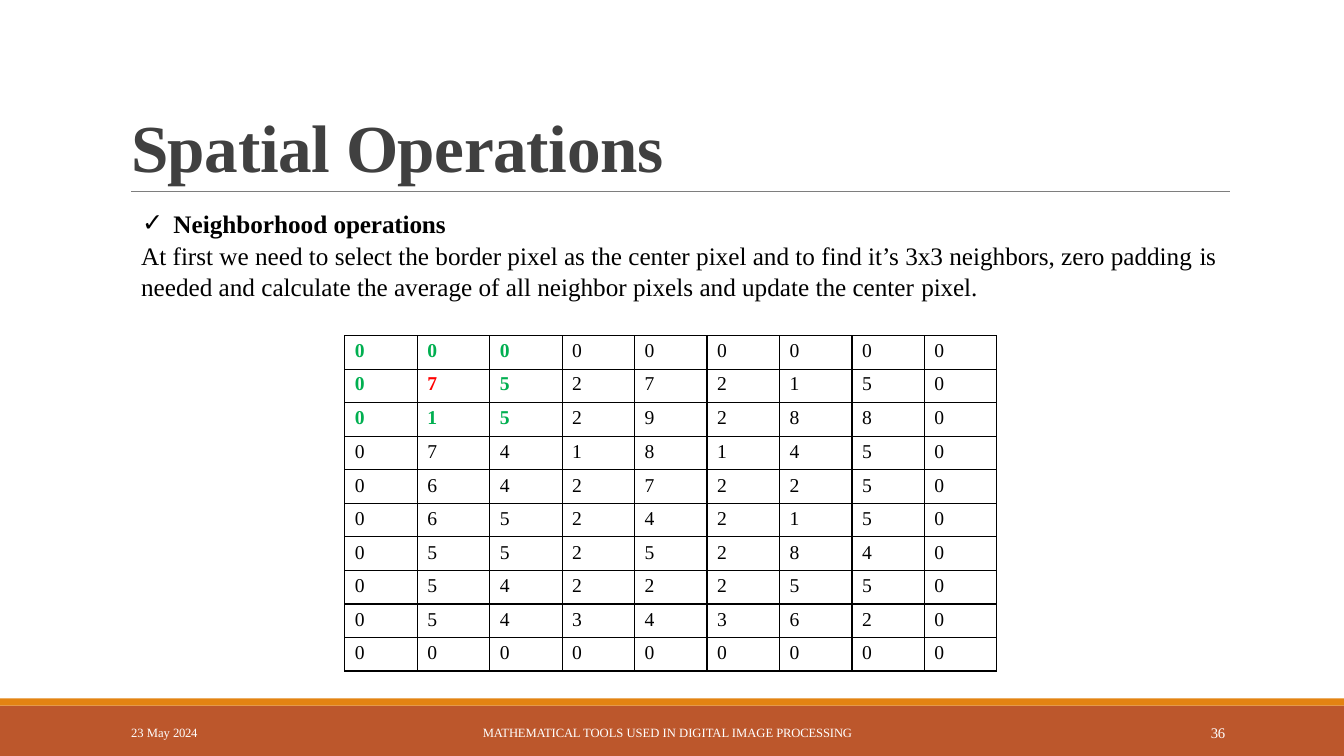
from dataclasses import dataclass

from lxml.etree import SubElement
from pptx import Presentation
from pptx.dml.color import RGBColor
from pptx.enum.shapes import MSO_CONNECTOR, MSO_SHAPE
from pptx.enum.text import MSO_ANCHOR, MSO_AUTO_SIZE, PP_ALIGN
from pptx.oxml.ns import qn
from pptx.util import Inches, Pt


@dataclass(frozen=True)
class Theme:
    font: str = "Times New Roman"
    black: str = "000000"
    white: str = "FFFFFF"
    heading: str = "404040"
    rule: str = "7E7E7E"
    band: str = "BC572C"
    stripe: str = "E38312"
    neighbor: str = "00AF50"
    center: str = "FF0000"
    title_size: float = 48
    body_size: float = 18
    cell_size: float = 14
    footer_size: float = 9
    number_size: float = 10.5


THEME = Theme()
PADDED_PIXELS = [
    "000000000",
    "075272150",
    "015292880",
    "074181450",
    "064272250",
    "065242150",
    "055252840",
    "054222550",
    "054343620",
    "000000000",
]


def add_run(paragraph, text, size, color, bold=False, spacing=0):
    run = paragraph.add_run()
    run.text = text
    run.font.name = THEME.font
    run.font.size = Pt(size)
    run.font.bold = bold
    run.font.color.rgb = RGBColor.from_string(color)
    if spacing:
        run.font._element.set("spc", str(round(spacing * 100)))


def place(shape, left, top, width, height):
    shape.left, shape.top = Inches(left), Inches(top)
    shape.width, shape.height = Inches(width), Inches(height)


def prepare_frame(shape, anchor=MSO_ANCHOR.TOP, top_margin=0, wrap=True):
    frame = shape.text_frame
    frame.margin_left = frame.margin_right = frame.margin_bottom = 0
    frame.margin_top = Inches(top_margin)
    frame.word_wrap = wrap
    frame.auto_size = MSO_AUTO_SIZE.NONE
    frame.vertical_anchor = anchor
    return frame


def indent(paragraph, left, first=0, bullet=None):
    properties = paragraph._p.get_or_add_pPr()
    properties.set("marL", str(Inches(left)))
    properties.set("indent", str(Inches(first)))
    if bullet:
        SubElement(properties, qn("a:buChar"), char=bullet)
        tabs = SubElement(properties, qn("a:tabLst"))
        SubElement(tabs, qn("a:tab"), pos=str(Inches(left)), algn="l")
    else:
        SubElement(properties, qn("a:buNone"))
    paragraph.alignment = PP_ALIGN.LEFT
    paragraph.space_before = Pt(0)


def add_band(slide, left, top, width, height, color):
    band = slide.shapes.add_shape(
        MSO_SHAPE.RECTANGLE, Inches(left), Inches(top), Inches(width), Inches(height))
    band.shadow.inherit = False
    band.fill.solid()
    band.fill.fore_color.rgb = RGBColor.from_string(color)
    band.line.fill.background()


def build_footer(slide, left, top, width, height):
    stripe_height = 0.07
    add_band(slide, left, top + stripe_height, width, height - stripe_height, THEME.band)
    add_band(slide, left, top, width, stripe_height, THEME.stripe)

    # Date, lecture name and slide number
    entries = [
        (1.29, 0.26, 0.7, THEME.footer_size, [("23 May ", 0), ("2024", -0.2)]),
        (4.78, 0.26, 3.77, THEME.footer_size,
         [("MATHEMATICAL ", -0.1), ("TOOLS USED IN DIGITAL IMAGE ", 0), ("PROCESSING", -0.1)]),
        (12, 0.25, 0.22, THEME.number_size, [("36", -0.2)]),
    ]
    for offset, drop, entry_width, size, runs in entries:
        box = slide.shapes.add_textbox(
            Inches(left + offset), Inches(top + drop), Inches(entry_width), Inches(0.18))
        paragraph = prepare_frame(box, wrap=False).paragraphs[0]
        indent(paragraph, 0.01)
        for text, spacing in runs:
            add_run(paragraph, text, size, THEME.white, spacing=spacing)


def build_title(slide, left, top, width, height):
    title = slide.shapes.title
    place(title, left, top, width, height)
    paragraph = prepare_frame(title, MSO_ANCHOR.BOTTOM).paragraphs[0]
    indent(paragraph, 0.01)
    add_run(paragraph, "Spatial Operations", THEME.title_size, THEME.heading, True, -0.3)

    # Rule under the title
    rule_left, rule_top, rule_width = left + 0.01, top + height + 0.05, 10.9
    rule = slide.shapes.add_connector(
        MSO_CONNECTOR.STRAIGHT, Inches(rule_left), Inches(rule_top),
        Inches(rule_left + rule_width), Inches(rule_top))
    rule.line.color.rgb = RGBColor.from_string(THEME.rule)
    rule.line.width = Pt(0.48)
    SubElement(rule._element.spPr, qn("a:effectLst"))


def build_body(slide, left, top, width, height):
    body = slide.placeholders[1]
    place(body, left, top, width, height)
    frame = prepare_frame(body, top_margin=0.01)
    heading, explanation = frame.paragraphs[0], frame.add_paragraph()
    indent(heading, 0.33, -0.31, "✓")
    indent(explanation, 0.01)
    heading_runs = [("Neighborhood", 0), (" operations", -0.1)]
    explanation_runs = [
        ("At first we need to select the border pixel as the center pixel and to find "
         "it’s 3x3 neighbors, zero padding ", 0),
        ("is ", -0.2),
        ("needed and calculate the average of all neighbor pixels and update the center ", 0),
        ("pixel.", -0.1),
    ]
    for paragraph, runs, bold in (
            (heading, heading_runs, True), (explanation, explanation_runs, False)):
        paragraph.line_spacing = 1.05
        for text, spacing in runs:
            add_run(paragraph, text, THEME.body_size, THEME.black, bold, spacing)


def add_borders(cell):
    properties = cell._tc.get_or_add_tcPr()
    for position, side in enumerate(("lnL", "lnR", "lnT", "lnB")):
        line = properties.makeelement(qn(f"a:{side}"), {"w": str(Pt(1))})
        fill = SubElement(line, qn("a:solidFill"))
        SubElement(fill, qn("a:srgbClr"), val=THEME.black)
        properties.insert(position, line)


def build_pixel_table(slide, left, top, width, height):
    rows, columns = len(PADDED_PIXELS), len(PADDED_PIXELS[0])
    table = slide.shapes.add_table(
        rows, columns, Inches(left), Inches(top), Inches(width), Inches(height)).table
    table.first_row = table.horz_banding = False
    for row, values in enumerate(PADDED_PIXELS):
        for column, value in enumerate(values):
            cell = table.cell(row, column)
            cell.fill.background()
            add_borders(cell)
            cell.margin_left = cell.margin_right = cell.margin_bottom = 0
            cell.margin_top = Inches(0.04 if row < 3 else 0.05)
            paragraph = cell.text_frame.paragraphs[0]
            indent(paragraph, 0.1)

            # The 3x3 neighborhood surrounds the pixel at (1, 1)
            in_window = row < 3 and column < 3
            color = THEME.neighbor if in_window else THEME.black
            if (row, column) == (1, 1):
                color = THEME.center
            add_run(paragraph, value, THEME.cell_size, color, in_window, -0.5)


def main():
    presentation = Presentation()
    presentation.slide_width, presentation.slide_height = Inches(13.33), Inches(7.5)
    slide = presentation.slides.add_slide(presentation.slide_layouts[1])
    build_footer(slide, 0, 6.93, 13.33, 0.57)
    build_title(slide, 1.29, 1.01, 10.66, 0.84)
    build_body(slide, 1.39, 2.04, 10.73, 0.93)
    build_pixel_table(slide, 3.42, 3.33, 6.47, 3.33)
    presentation.save("out.pptx")


if __name__ == "__main__":
    main()
